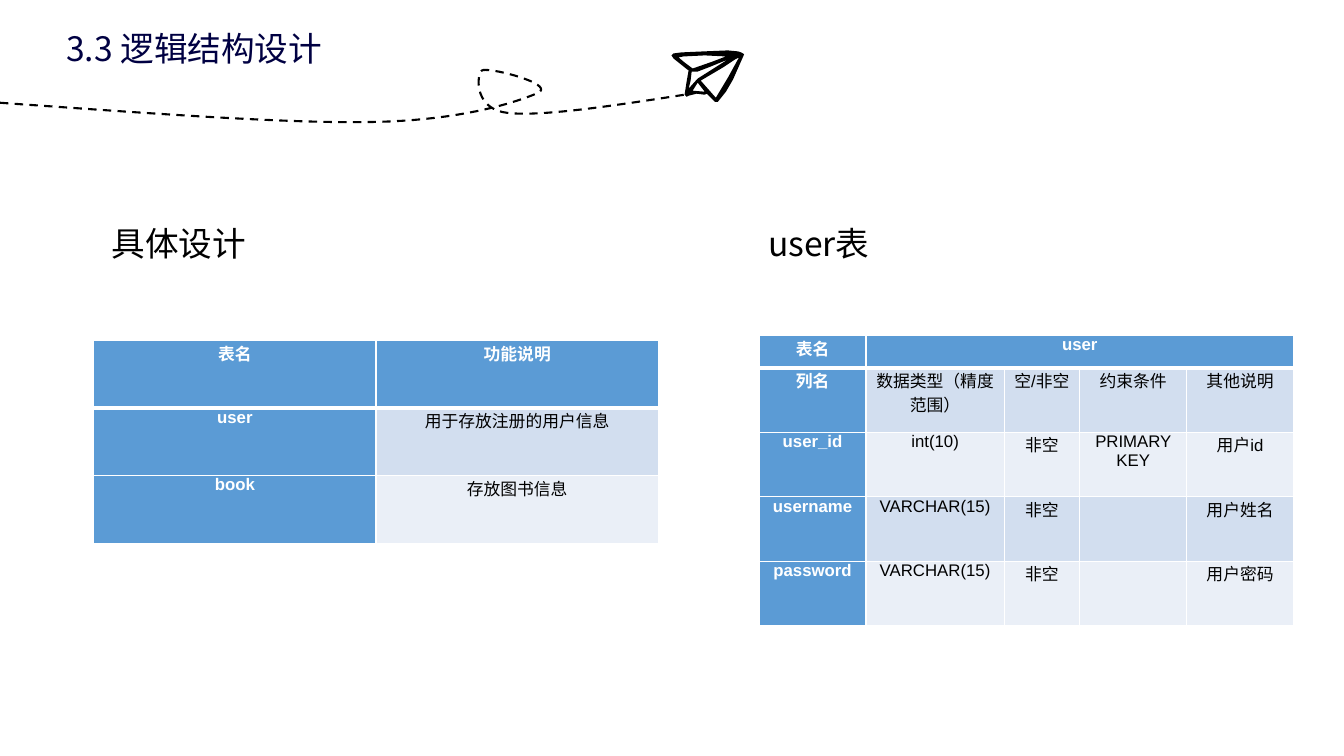
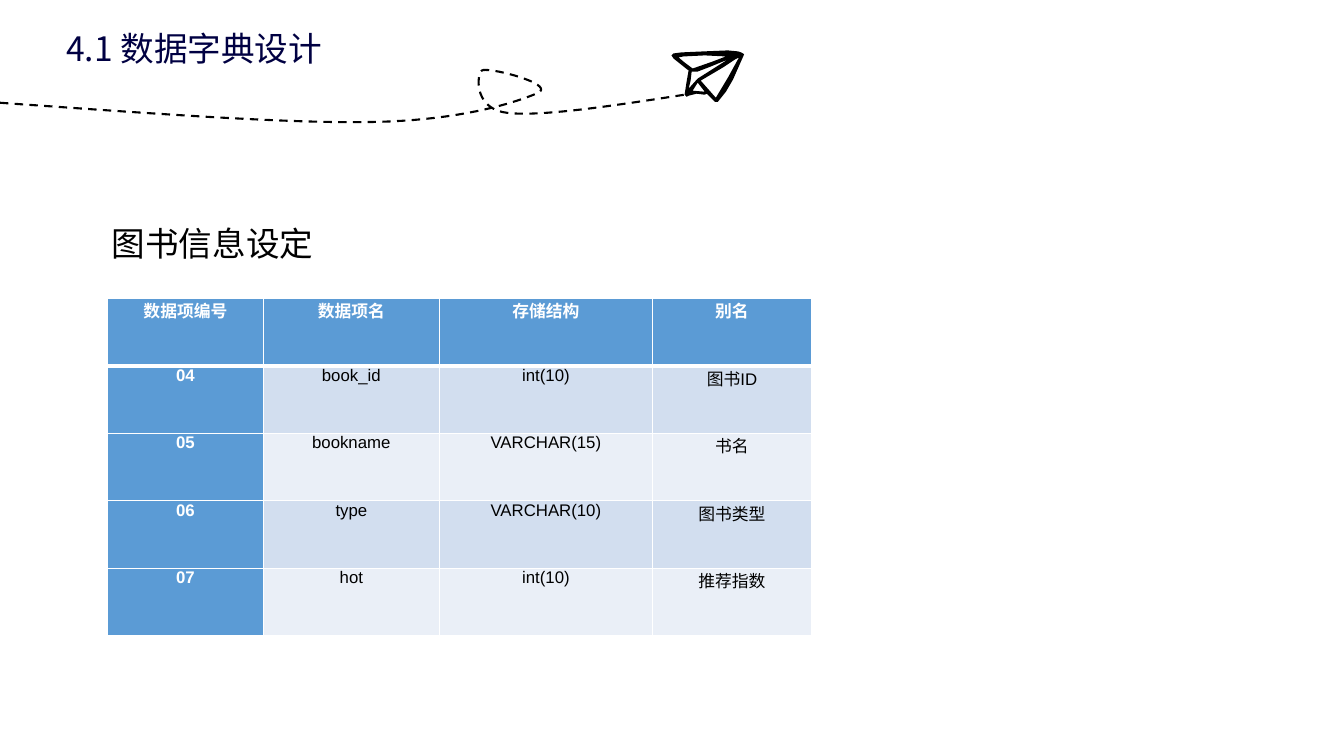
from lxml import etree
from pptx import Presentation
from pptx.dml.color import RGBColor
from pptx.enum.dml import MSO_LINE
from pptx.enum.text import MSO_AUTO_SIZE, PP_ALIGN
from pptx.oxml.ns import qn
from pptx.util import Inches, Pt

CENTER = PP_ALIGN.CENTER
GROW = MSO_AUTO_SIZE.SHAPE_TO_FIT_TEXT
DASH = MSO_LINE.DASH

HEAD, BODY = "Noto Sans CJK SC", "Arial"
NAVY, BLACK, WHITE = "000042", "000000", "FFFFFF"
BLUE, BANDS = "5B9BD5", ("D2DEEF", "EAEFF7")

# Flight trail: a start point, then cubic curves (two handles, one end)
START = (0, 1.02)
CURVES = [
    ((1.42, 1.12), (2.84, 1.23), (3.73, 1.21)),
    ((4.62, 1.19), (5.16, 1), (5.34, 0.92)),
    ((5.51, 0.83), (4.83, 0.66), (4.78, 0.7)),
    ((4.73, 0.73), (4.69, 1.08), (5.03, 1.12)),
    ((5.36, 1.16), (6.08, 1.05), (6.79, 0.94)),
]

# Paper plane: the outline, then the open folds inside it
PLANE = [
    [(7.32, 0.51), (7.22, 0.5), (6.98, 0.51), (6.76, 0.52), (6.68, 0.53),
     (6.66, 0.55), (6.68, 0.58), (6.78, 0.66), (6.83, 0.7), (6.81, 0.81),
     (6.79, 0.94), (6.81, 0.96), (6.83, 0.95), (6.91, 0.93), (6.99, 0.94),
     (7.01, 0.93), (7.09, 1.01), (7.12, 1.01), (7.2, 0.91), (7.27, 0.79),
     (7.38, 0.54), (7.37, 0.53), (7.35, 0.52)],
    [(6.92, 0.82), (6.99, 0.91), (6.87, 0.9)],
    [(7.22, 0.59), (7.14, 0.64), (6.92, 0.78), (6.83, 0.88), (6.85, 0.8),
     (6.86, 0.71), (6.92, 0.71), (7.05, 0.66)],
    [(7.2, 0.56), (7.07, 0.61), (6.87, 0.68), (6.79, 0.62), (6.73, 0.57),
     (6.78, 0.56), (6.99, 0.55)],
    [(7.33, 0.57), (7.22, 0.77), (7.1, 0.97), (6.95, 0.8), (7.17, 0.67),
     (7.29, 0.59)],
]

TABLES = [["表名", "功能说明"],
          ["user", "用于存放注册的用户信息"],
          ["book", "存放图书信息"]]
USER = [["表名", "user"],
        ["列名", "数据类型（精度范围）", "空/非空", "约束条件", "其他说明"],
        ["user_id", "int(10)", "非空", "PRIMARY KEY", "用户id"],
        ["username", "VARCHAR(15)", "非空", "", "用户姓名"],
        ["password", "VARCHAR(15)", "非空", "", "用户密码"]]
BOOK = [["数据项编号", "数据项名", "存储结构", "别名"],
        ["04", "book_id", "int(10)", "图书ID"],
        ["05", "bookname", "VARCHAR(15)", "书名"],
        ["06", "type", "VARCHAR(10)", "图书类型"],
        ["07", "hot", "int(10)", "推荐指数"]]


def rgb(code):
    return RGBColor.from_string(code)


def style(para, size, face, color, bold=False):
    font = para.font
    font.size, font.name, font.bold = Pt(size), face, bold
    font.color.rgb = rgb(color)
    props = para._p.pPr.find(qn("a:defRPr"))
    etree.SubElement(props, qn("a:ea")).set("typeface", HEAD)


def label(slide, text, left, top, width, color=BLACK, indent=0):
    box = slide.shapes.add_textbox(Inches(left), Inches(top),
                                   Inches(width), Inches(0.5))
    frame = box.text_frame
    frame.word_wrap, frame.auto_size = True, GROW
    para = frame.paragraphs[0]
    para.text = text
    para._p.get_or_add_pPr().set("marL", str(Inches(indent)))
    style(para, 24, HEAD, color)


def scale(points):
    return [(Inches(x), Inches(y)) for x, y in points]


def trace(start, curves, steps=20):
    """Turn cubic curves into a list of points."""
    points = [start]
    for one, two, end in curves:
        first = points[-1]
        for i in range(1, steps + 1):
            t = i / steps
            u = 1 - t
            points.append(tuple(
                u**3 * a + 3 * u * u * t * b + 3 * u * t * t * c + t**3 * d
                for a, b, c, d in zip(first, one, two, end)))
    return points


def outline(slide, rings, close):
    pen = None
    for ring in rings:
        first, *rest = scale(ring)
        if pen is None:
            pen = slide.shapes.build_freeform(*first)
        else:
            pen.move_to(*first)
        pen.add_line_segments(rest, close=close)
    shape = pen.convert_to_shape()
    shape.shadow.inherit = False
    return shape


def header(slide, text):
    label(slide, text, 0.56, 0.23, 4.93, NAVY)
    # Dashed trail
    trail = outline(slide, [trace(START, CURVES)], False)
    trail.fill.background()
    trail.line.color.rgb = rgb(BLACK)
    trail.line.width = Pt(1.5)
    trail.line.dash_style = DASH
    # Plane
    plane = outline(slide, PLANE, True)
    plane.fill.solid()
    plane.fill.fore_color.rgb = rgb(BLACK)
    plane.line.fill.background()


def border(cell, row):
    widths = {"L": 1, "R": 1, "T": 3 if row == 1 else 1,
              "B": 3 if row == 0 else 1}
    props = cell._tc.get_or_add_tcPr()
    for i, (side, width) in enumerate(widths.items()):
        line = etree.Element(qn("a:ln" + side), w=str(Pt(width)))
        fill = etree.SubElement(line, qn("a:solidFill"))
        etree.SubElement(fill, qn("a:srgbClr"), val=WHITE)
        props.insert(i, line)


def grid(slide, data, left, top, cols, rows):
    """Place a table; a short row stretches its last cell to the edge."""
    frame = slide.shapes.add_table(
        len(rows), len(cols), Inches(left), Inches(top),
        Inches(sum(cols)), Inches(sum(rows)))
    table = frame.table
    table.horz_banding = False
    for col, width in zip(table.columns, cols):
        col.width = Inches(width)
    for r, height in enumerate(rows):
        table.rows[r].height = Inches(height)
        for c in range(len(cols)):
            cell = table.cell(r, c)
            key = r == 0 or c == 0
            cell.margin_left = cell.margin_right = Inches(0.07)
            cell.margin_top = cell.margin_bottom = 0
            cell.fill.solid()
            cell.fill.fore_color.rgb = rgb(BLUE if key else BANDS[(r - 1) % 2])
            border(cell, r)
            para = cell.text_frame.paragraphs[0]
            if c < len(data[r]):
                para.text = data[r][c]
            para.alignment = CENTER
            style(para, 12, BODY, WHITE if key else BLACK, key)
        if len(data[r]) < len(cols):
            table.cell(r, len(data[r]) - 1).merge(table.cell(r, len(cols) - 1))


def logic(slide):
    header(slide, "3.3 逻辑结构设计")
    grid(slide, TABLES, 0.93, 3.38, [2.8] * 2, [0.67] * 3)
    label(slide, "具体设计", 0.72, 2.16, 3.58, indent=0.29)
    grid(slide, USER, 7.53, 3.33, [1.06, 1.37, 0.75, 1.06, 1.06],
         [0.32] + [0.64] * 4)
    label(slide, "user表", 7.02, 2.16, 4.03, indent=0.5)


def lexicon(slide):
    header(slide, "4.1 数据字典设计")
    label(slide, "图书信息设定", 0.72, 2.16, 3.58, indent=0.29)
    grid(slide, BOOK, 1.07, 2.96, [1.54, 1.75, 2.11, 1.58], [0.67] * 5)


def main():
    deck = Presentation()
    deck.slide_width, deck.slide_height = Inches(13.33), Inches(7.5)
    for build in (logic, lexicon):
        build(deck.slides.add_slide(deck.slide_layouts[6]))
    deck.save("out.pptx")


if __name__ == "__main__":
    main()
